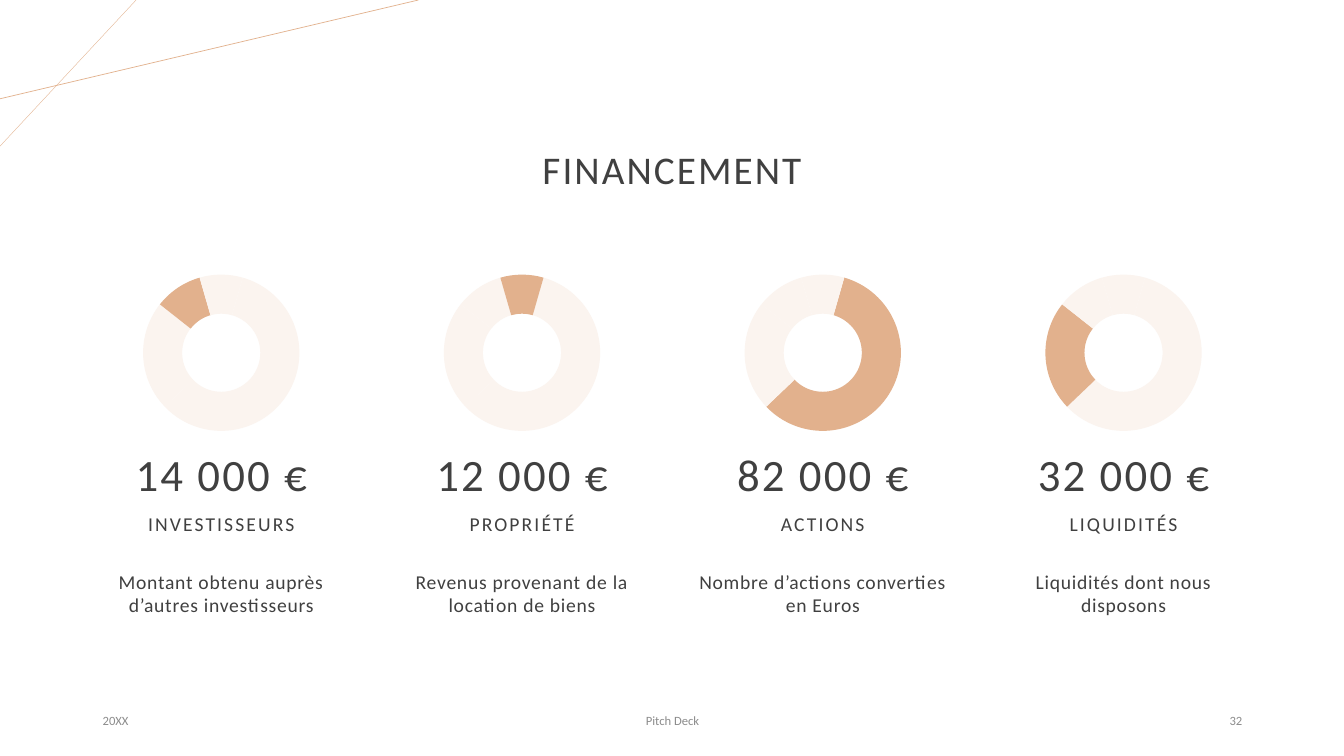
from lxml import etree
from pptx import Presentation
from pptx.chart.data import CategoryChartData
from pptx.dml.color import RGBColor
from pptx.enum.chart import XL_CHART_TYPE
from pptx.enum.shapes import MSO_CONNECTOR
from pptx.enum.text import MSO_ANCHOR, PP_ALIGN
from pptx.oxml import parse_xml
from pptx.oxml.ns import nsdecls, qn
from pptx.util import Inches, Pt

COPPER = RGBColor(0xE2, 0xB1, 0x8D)
CREAM = RGBColor(0xFB, 0xF4, 0xEF)
CHARCOAL = RGBColor(0x40, 0x40, 0x40)
GRAY = RGBColor(0x8C, 0x8C, 0x8C)
BLACK = RGBColor(0, 0, 0)
WHITE = RGBColor(0xFF, 0xFF, 0xFF)
FONT = "Calibri"

deck = Presentation()
deck.slide_width = Inches(13.33)
deck.slide_height = Inches(7.5)
page = deck.slides.add_slide(deck.slide_layouts[6])
page.background.fill.solid()
page.background.fill.fore_color.rgb = WHITE


def add_text(text, left, top, width, height, size=14, color=CHARCOAL,
             align=PP_ALIGN.CENTER, anchor=MSO_ANCHOR.MIDDLE, inset=0.1,
             line_spacing=1.0, space_before=0, tracking=0):
    box = page.shapes.add_textbox(Inches(left), Inches(top), Inches(width), Inches(height))
    frame = box.text_frame
    frame.word_wrap = True
    frame.vertical_anchor = anchor
    frame.margin_left = frame.margin_right = Inches(inset)
    para = frame.paragraphs[0]
    para.alignment = align
    para.line_spacing = line_spacing
    para.space_before = Pt(space_before)
    span = para.add_run()
    span.text = text
    span.font.name = FONT
    span.font.size = Pt(size)
    span.font.color.rgb = color
    if tracking:
        span._r.get_or_add_rPr().set("spc", str(int(tracking * 100)))


def add_doughnut(left, top, width, height, highlight):
    data = CategoryChartData()
    data.categories = ["1", "2", "3", "4"]
    data.add_series("Series 1", (59, 23, 10, 9))
    chart = page.shapes.add_chart(
        XL_CHART_TYPE.DOUGHNUT, Inches(left), Inches(top), Inches(width), Inches(height), data
    ).chart
    chart.has_legend = False
    chart.has_title = False
    chart.font.name = FONT
    chart.font.size = Pt(10)
    chart.font.color.rgb = BLACK
    plot = chart.plots[0]
    plot.vary_by_categories = False
    for index in range(4):
        slice_format = plot.series[0].points[index].format
        slice_format.fill.solid()
        slice_format.fill.fore_color.rgb = COPPER if index == highlight else CREAM
        slice_format.line.fill.background()

    plot_area = chart._chartSpace.chart.plotArea
    for tag, value in (("c:firstSliceAng", "16"), ("c:holeSize", "80")):
        next(plot_area.iter(qn(tag))).set("val", value)
    for layout in plot_area.findall(qn("c:layout")):
        plot_area.remove(layout)
    ring = 1.55
    plot_area.insert(0, parse_xml(
        f'<c:layout {nsdecls("c")}><c:manualLayout><c:layoutTarget val="inner"/>'
        '<c:xMode val="edge"/><c:yMode val="edge"/>'
        f'<c:x val="{(1 - ring / width) / 2:.3f}"/><c:y val="{(1 - ring / height) / 2:.3f}"/>'
        f'<c:w val="{ring / width:.3f}"/><c:h val="{ring / height:.3f}"/>'
        '</c:manualLayout></c:layout>'))


for start_x, end_y, weight in ((1.35, 1.45, 0.25), (4.15, 0.98, 0.5)):
    accent = page.shapes.add_connector(
        MSO_CONNECTOR.STRAIGHT, Inches(start_x), Inches(0), Inches(0), Inches(end_y))
    accent.line.color.rgb = COPPER
    accent.line.width = Pt(weight)
    etree.SubElement(accent._element.spPr, qn("a:effectLst"))

add_text("FINANCEMENT", 2.06, 0.98, 9.21, 1.45, size=28, line_spacing=0.9, tracking=1.5)

sources = [
    ("14 000 €", "INVESTISSEURS", "Montant obtenu auprès d’autres investisseurs", 2),
    ("12 000 €", "PROPRIÉTÉ", "Revenus provenant de la location de biens", 3),
    ("82 000 €", "ACTIONS", "Nombre d’actions converties en Euros", 0),
    ("32 000 €", "LIQUIDITÉS", "Liquidités dont nous disposons", 1),
]
column_width = 2.55
column_step = 2.983
heading = dict(anchor=MSO_ANCHOR.BOTTOM, inset=0, line_spacing=0.9, space_before=10, tracking=1.5)
for column, (amount, label, description, highlight) in enumerate(sources):
    left = 0.92 + column * column_step
    add_doughnut(left + 0.26, 2.59, 2.03, 1.82, highlight)
    add_text(amount, left, 4.14, column_width, 0.88, size=32, **heading)
    add_text(label, left, 4.88, column_width, 0.48, **heading)
    add_text(description, left, 5.6, column_width, 0.93, anchor=MSO_ANCHOR.TOP,
             inset=0, space_before=10, tracking=0.5)

footers = [
    ("20XX", 0.92, 3, PP_ALIGN.LEFT),
    ("Pitch Deck", 4.42, 4.5, PP_ALIGN.CENTER),
    ("32", 9.42, 3, PP_ALIGN.RIGHT),
]
for text, left, width, align in footers:
    add_text(text, left, 6.95, width, 0.4, size=9, color=GRAY, align=align)

deck.save("out.pptx")
